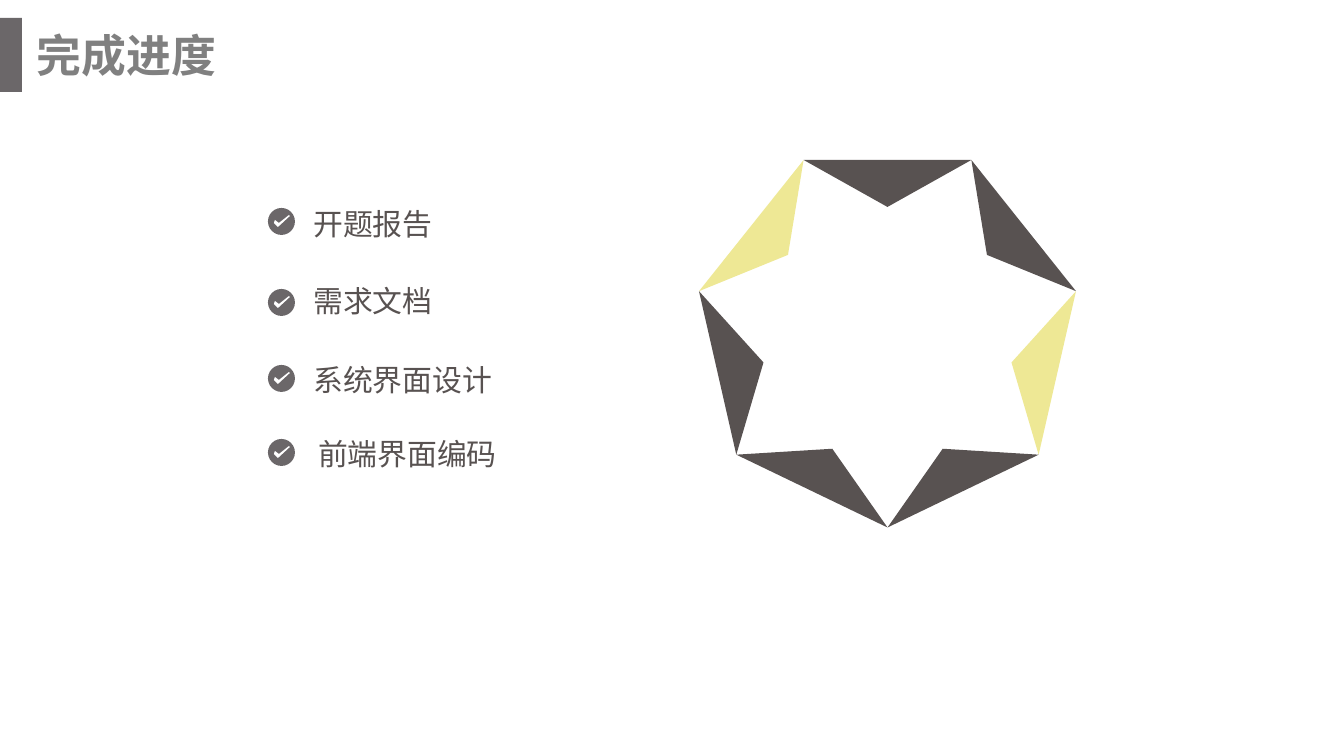
from math import cos, pi, sin

from pptx import Presentation
from pptx.dml.color import RGBColor
from pptx.enum.shapes import MSO_SHAPE
from pptx.enum.text import MSO_AUTO_SIZE
from pptx.util import Emu, Pt

EMU_PER_PX = 914400 / 134.4
GREY, DARK, YELLOW, WHITE = "6B6769", "585251", "EEE895", "FFFFFF"
TITLE_FORMAT = {"name": "Noto Sans CJK SC", "size": Pt(24), "bold": True}
ITEM_FORMAT = {"name": "Calibri", "size": Pt(16)}


def px(length):
    return Emu(round(length * EMU_PER_PX))


def color(hex_code):
    return RGBColor.from_string(hex_code)


def paint(shape, fill):
    shape.shadow.inherit = False
    shape.fill.solid()
    shape.fill.fore_color.rgb = color(fill)
    shape.line.fill.background()


def add_preset(shapes, kind, box, fill):
    paint(shapes.add_shape(kind, *map(px, box)), fill)


def add_polygon(shapes, points, fill):
    corners = [(px(x), px(y)) for x, y in points]
    outline = shapes.build_freeform(*corners[0])
    outline.add_line_segments(corners[1:], close=True)
    paint(outline.convert_to_shape(), fill)


def add_text(shapes, box, text, text_color, font_format, **frame_format):
    frame = shapes.add_textbox(*map(px, box)).text_frame
    frame_format["auto_size"] = MSO_AUTO_SIZE.SHAPE_TO_FIT_TEXT
    for name, value in frame_format.items():
        setattr(frame, name, value)
    run = frame.paragraphs[0].add_run()
    run.text = text
    for name, value in font_format.items():
        setattr(run.font, name, value)
    run.font.color.rgb = color(text_color)


def add_header(shapes, left, top, width, height):
    add_preset(shapes, MSO_SHAPE.RECTANGLE, (left, top, 22, height), GREY)
    add_text(shapes, (left + 27, top + 5, width - 27, 65), "完成进度", "808080",
             TITLE_FORMAT, word_wrap=True, margin_left=px(10),
             margin_right=px(10), margin_top=px(5), margin_bottom=px(5))


def add_check_badge(shapes, left, top, size):
    add_preset(shapes, MSO_SHAPE.OVAL, (left, top, size, size), GREY)
    tick = [(6, 15), (10, 19), (22, 8), (21, 7), (11, 15), (7, 12)]
    unit = size / 27
    add_polygon(shapes, [(left + x * unit, top + y * unit) for x, y in tick], WHITE)


def add_checklist(shapes, left, top):
    # Task, badge offset from the top, label offset from the left and top
    tasks = [("开题报告", 9, 32, 0), ("需求文档", 90, 32, 77),
             ("系统界面设计", 166, 32, 156), ("前端界面编码", 240, 37, 230)]
    for task, badge_y, label_x, label_y in tasks:
        add_check_badge(shapes, left, top + badge_y, 27)
        label_width = 28 + 30 * len(task)
        add_text(shapes, (left + label_x, top + label_y, label_width, 50), task,
                 DARK, ITEM_FORMAT, word_wrap=False)


def add_heptagon_ring(shapes, left, top, width):
    """Ring of seven inward triangles, clockwise from the flat top side."""
    sides = [DARK, DARK, YELLOW, DARK, DARK, DARK, YELLOW]
    half_step = pi / len(sides)
    radius = width / 2 / cos(half_step / 2)
    tip_radius = radius * cos(half_step) - 47
    center_x, center_y = left + width / 2, top + radius * cos(half_step)

    def polar(distance, angle):
        return center_x + distance * cos(angle), center_y + distance * sin(angle)

    for index, fill in enumerate(sides):
        middle = 2 * half_step * index - pi / 2
        add_polygon(shapes, [polar(radius, middle - half_step),
                             polar(radius, middle + half_step),
                             polar(tip_radius, middle)], fill)


def main():
    deck = Presentation()
    deck.slide_width, deck.slide_height = px(1344), px(756)
    shapes = deck.slides.add_slide(deck.slide_layouts[6]).shapes
    add_header(shapes, 0, 18, 290, 74)
    add_checklist(shapes, 268, 199)
    add_heptagon_ring(shapes, 699, 160, 377)
    deck.save("out.pptx")


if __name__ == "__main__":
    main()
